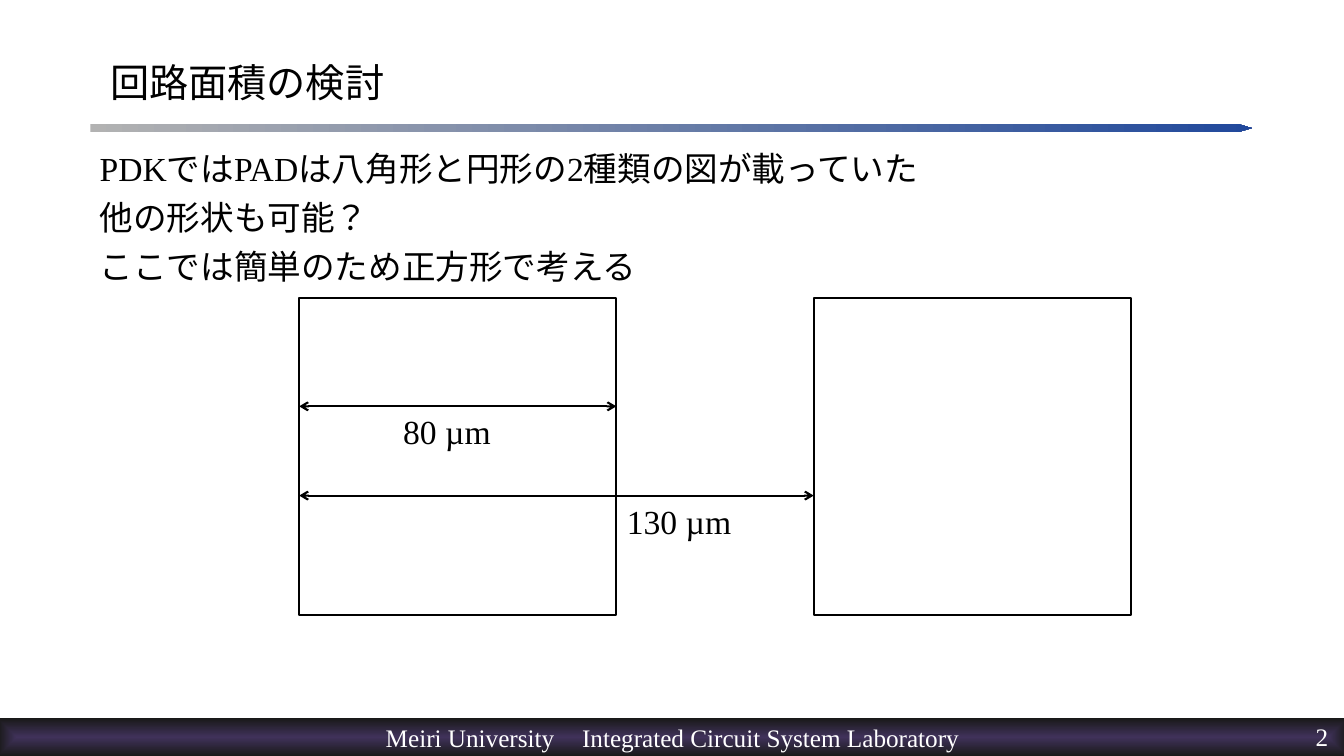
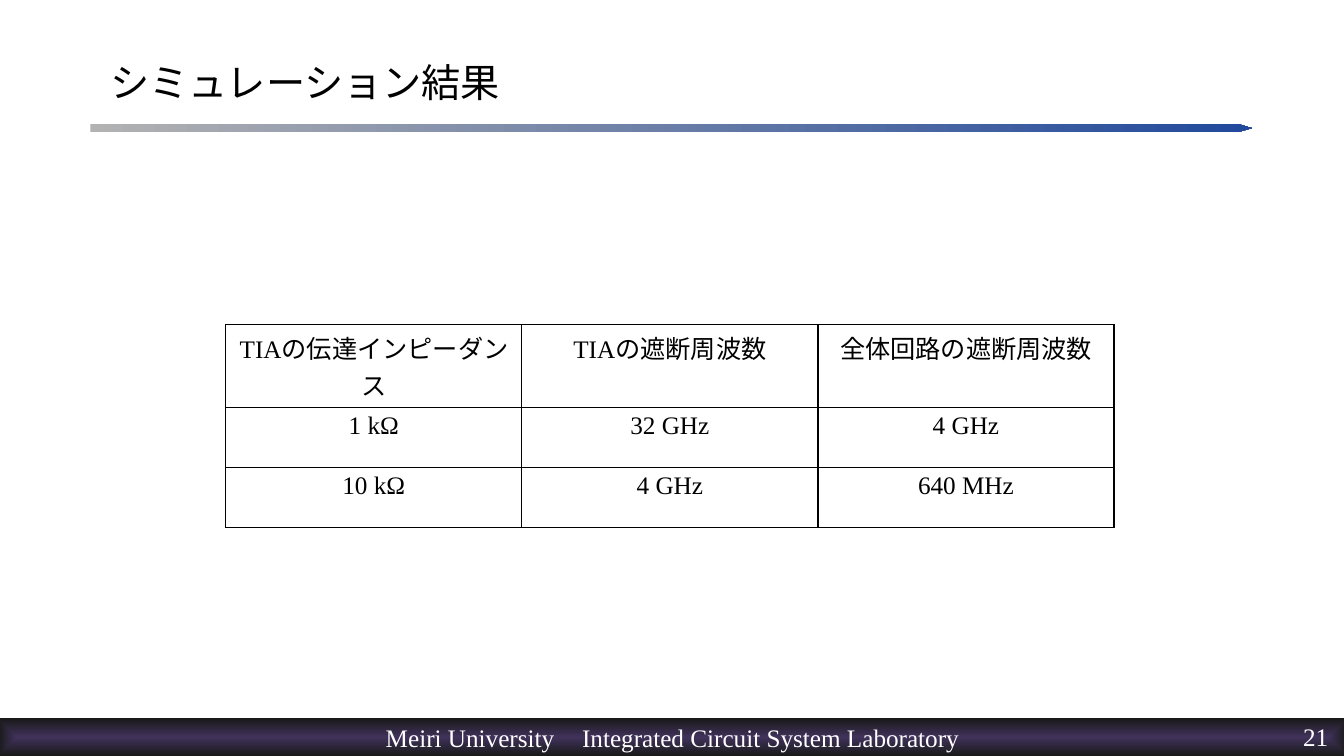
from dataclasses import dataclass

from lxml.etree import SubElement
from pptx import Presentation
from pptx.dml.color import RGBColor
from pptx.enum.lang import MSO_LANGUAGE_ID
from pptx.enum.shapes import MSO_CONNECTOR, MSO_SHAPE
from pptx.enum.text import MSO_ANCHOR, PP_ALIGN
from pptx.oxml.ns import qn
from pptx.util import Emu, Pt

PX = 9525  # EMU per px, 96 px to the inch


@dataclass(frozen=True)
class Theme:
    font: str = "Times New Roman"
    ink: str = "000000"
    light: str = "FFFFFF"
    rule_start: str = "B2B2B2"
    rule_end: str = "21499C"
    footer_core: str = "40325A"
    footer_edge: str = "191919"
    title_size: int = 28
    body_size: int = 24
    small_size: int = 18
    line_width: float = 1.5
    border_width: float = 1


def px(*lengths):
    return [Emu(length * PX) for length in lengths]


def rgb(color):
    return RGBColor.from_string(color)


class Deck:
    """Holds the theme, the presentation and the slide being drawn."""

    def __init__(self, theme):
        self.theme = theme
        self.prs = Presentation()
        self.prs.slide_width, self.prs.slide_height = px(1280, 720)
        self.slide = None

    def add_slide(self, title, number):
        self.slide = self.prs.slides.add_slide(self.prs.slide_layouts[6])
        theme = self.theme
        self.band((86, 118, 1106, 8), theme.rule_start, theme.rule_end, 1.69)
        self.footer("Meiri University\tIntegrated Circuit System Laboratory")
        self.text((937, 687, 328, 33), [str(number)], theme.small_size,
                  theme.light, PP_ALIGN.RIGHT, inset=(0, 0))
        self.text((95, 27, 1085, 102), [title], theme.title_size,
                  anchor=MSO_ANCHOR.MIDDLE)

    def style(self, paragraph, size, color, align=PP_ALIGN.LEFT):
        paragraph.alignment = align
        font = paragraph.font
        font.name, font.size = self.theme.font, Pt(size)
        font.color.rgb = rgb(color)
        font.language_id = MSO_LANGUAGE_ID.JAPANESE

    def text(self, box, lines, size, color=None, align=PP_ALIGN.LEFT,
             anchor=MSO_ANCHOR.TOP, inset=(10, 5), gap=0):
        frame = self.slide.shapes.add_textbox(*px(*box)).text_frame
        frame.word_wrap = True
        frame.vertical_anchor = anchor
        frame.margin_left, frame.margin_top = px(*inset)
        frame.margin_right, frame.margin_bottom = px(*inset)
        frame.text = "\n".join(lines)
        for index, paragraph in enumerate(frame.paragraphs):
            if index and gap:
                paragraph.space_before = Pt(gap)
            self.style(paragraph, size, color or self.theme.ink, align)

    def band(self, box, start, end, point):
        """Add a gradient bar whose right end is a point of the given depth."""
        bar = self.slide.shapes.add_shape(MSO_SHAPE.PENTAGON, *px(*box))
        bar.adjustments[0] = point
        bar.shadow.inherit = False
        bar.line.fill.background()
        bar.fill.gradient()
        bar.fill.gradient_angle = 0
        for stop, color in zip(bar.fill.gradient_stops, (start, end)):
            stop.color.rgb = rgb(color)
        return bar

    def footer(self, wording):
        theme = self.theme
        bar = self.band((-2, 684, 1285, 36), theme.footer_core,
                        theme.footer_edge, 0)
        gradient = bar.fill._xPr.find(qn("a:gradFill"))
        gradient.remove(gradient.find(qn("a:lin")))
        outward = SubElement(gradient, qn("a:path"), path="shape")
        SubElement(outward, qn("a:fillToRect"),
                   {side: "50000" for side in "ltrb"})
        frame = bar.text_frame
        frame.word_wrap = False
        frame.vertical_anchor = MSO_ANCHOR.MIDDLE
        frame.text = wording
        paragraph = frame.paragraphs[0]
        tabs = SubElement(paragraph._p.get_or_add_pPr(), qn("a:tabLst"))
        SubElement(tabs, qn("a:tab"), pos=str(187 * PX), algn="l")
        self.style(paragraph, theme.small_size, theme.light, PP_ALIGN.CENTER)

    def outline(self, box):
        square = self.slide.shapes.add_shape(MSO_SHAPE.RECTANGLE, *px(*box))
        square.shadow.inherit = False
        square.fill.background()
        square.line.color.rgb = rgb(self.theme.ink)
        square.line.width = Pt(self.theme.line_width)

    def dimension(self, left, right, y, label, label_box):
        """Add a two-headed arrow and the label of the length it spans."""
        arrow = self.slide.shapes.add_connector(
            MSO_CONNECTOR.STRAIGHT, *px(left, y, right, y))
        arrow.line.color.rgb = rgb(self.theme.ink)
        arrow.line.width = Pt(self.theme.line_width)
        for end in ("a:headEnd", "a:tailEnd"):
            SubElement(arrow.line._get_or_add_ln(), qn(end), type="arrow")
        SubElement(arrow._element.spPr, qn("a:effectLst"))
        self.text(label_box, [label], self.theme.body_size)

    def border(self, cell):
        properties = cell._tc.get_or_add_tcPr()
        for position, side in enumerate(("a:lnL", "a:lnR", "a:lnT", "a:lnB")):
            line = properties.makeelement(
                qn(side), w=str(Pt(self.theme.border_width)))
            properties.insert(position, line)
            fill = SubElement(line, qn("a:solidFill"))
            SubElement(fill, qn("a:srgbClr"), val=self.theme.ink)

    def table(self, left, top, column_width, row_heights, rows):
        columns = len(rows[0])
        grid = self.slide.shapes.add_table(
            len(rows), columns,
            *px(left, top, column_width * columns, sum(row_heights))).table
        grid.first_row = grid.horz_banding = False
        for row, height, values in zip(grid.rows, px(*row_heights), rows):
            row.height = height
            for cell, value in zip(row.cells, values):
                cell.text = value
                cell.fill.background()
                self.border(cell)
                self.style(cell.text_frame.paragraphs[0],
                           self.theme.small_size, self.theme.ink,
                           PP_ALIGN.CENTER)


def area_slide(deck):
    deck.add_slide("回路面積の検討", 2)
    deck.text((85, 136, 1095, 502),
              ["PDKではPADは八角形と円形の2種類の図が載っていた",
               "他の形状も可能？",
               "ここでは簡単のため正方形で考える"],
              deck.theme.body_size, gap=6)
    pad, pad_left, next_left = 302, 285, 775
    deck.dimension(pad_left, pad_left + pad, 387, "80 µm",
                   (374, 386, 104, 48))
    deck.dimension(pad_left, next_left, 472, "130 µm", (587, 472, 120, 48))
    for left in (pad_left, next_left):
        deck.outline((left, 284, pad, pad))


def results_slide(deck):
    deck.add_slide("シミュレーション結果", 21)
    deck.table(215, 309, 282, (79, 57, 57), [
        ("TIAの伝達インピーダンス", "TIAの遮断周波数", "全体回路の遮断周波数"),
        ("1 kΩ", "32 GHz", "4 GHz"),
        ("10 kΩ", "4 GHz", "640 MHz"),
    ])


def main():
    deck = Deck(Theme())
    area_slide(deck)
    results_slide(deck)
    deck.prs.save("out.pptx")


if __name__ == "__main__":
    main()
